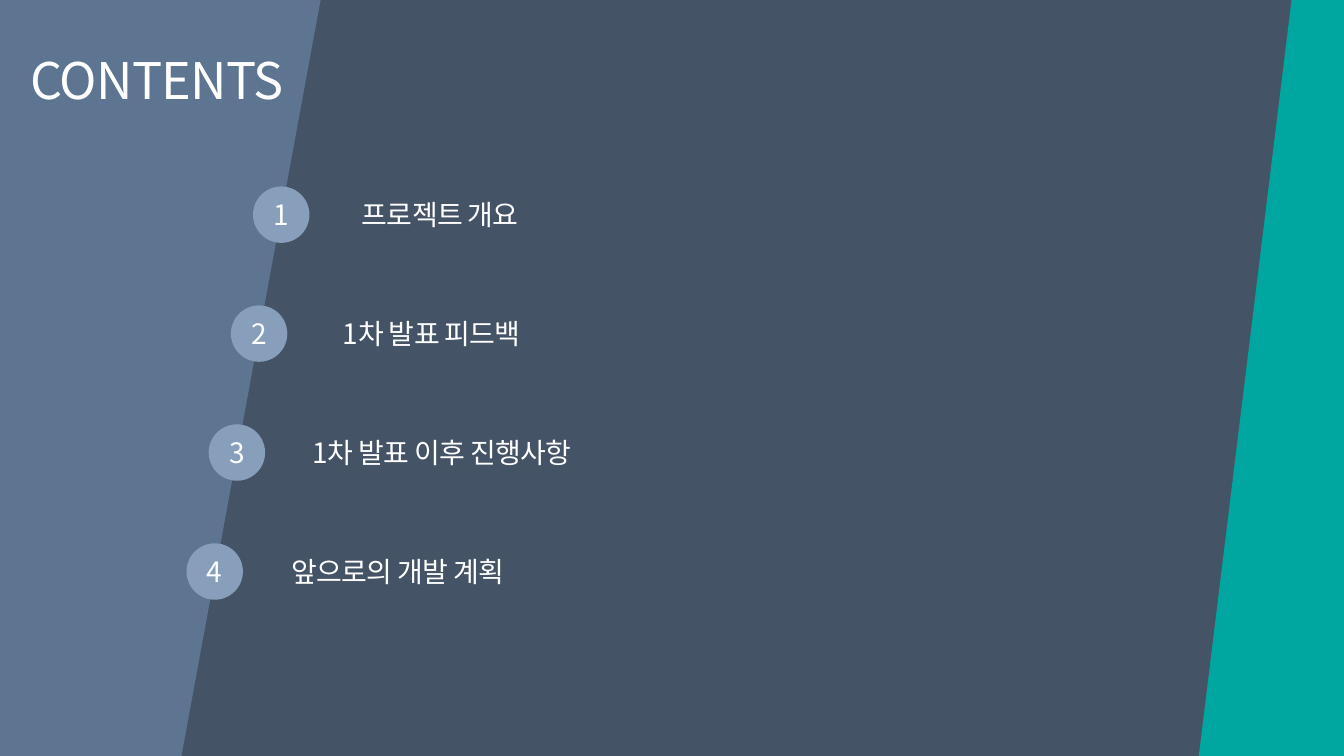
"""Build the contents slide with slanted side panels and four numbered topics."""
from dataclasses import dataclass

from lxml.etree import SubElement
from pptx import Presentation
from pptx.dml.color import RGBColor
from pptx.enum.shapes import MSO_SHAPE
from pptx.enum.text import MSO_ANCHOR, PP_ALIGN
from pptx.oxml.ns import qn
from pptx.slide import Slide
from pptx.text.text import TextFrame
from pptx.util import Inches, Pt

BACKGROUND = RGBColor(0x44, 0x53, 0x65)
STEEL = RGBColor(0x5D, 0x75, 0x91)
TEAL = RGBColor(0x00, 0xA7, 0xA0)
BADGE = RGBColor(0x87, 0x9F, 0xBA)
WHITE = RGBColor(0xFF, 0xFF, 0xFF)
FONT = "Noto Sans CJK KR"

WIDTH, HEIGHT = 13.33, 7.5
BADGE_SIZE = 0.56
FIRST_BADGE_LEFT, FIRST_BADGE_TOP = 2.51, 1.85
BADGE_SHIFT, TOPIC_PITCH = -0.22, 1.18


@dataclass(frozen=True)
class Panel:
    corners: tuple[tuple[float, float], ...]
    color: RGBColor


@dataclass(frozen=True)
class Topic:
    title: str
    left: float


PANELS = (
    Panel(((0, 0), (3.18, 0), (1.8, HEIGHT), (0, HEIGHT)), STEEL),
    Panel(((12.81, 0), (WIDTH, 0), (WIDTH, HEIGHT), (11.89, HEIGHT)), TEAL),
)
TOPICS = (
    Topic("프로젝트 개요", 3.49),
    Topic("1차 발표 피드백", 3.3),
    Topic("1차 발표 이후 진행사항", 3),
    Topic("앞으로의 개발 계획", 2.79),
)


def write(frame: TextFrame, text: str, *, size: float = 20, spacing: float = 0,
          align: PP_ALIGN = PP_ALIGN.LEFT,
          anchor: MSO_ANCHOR = MSO_ANCHOR.TOP) -> None:
    """Put one formatted line of text into a frame."""
    frame.word_wrap = True
    frame.vertical_anchor = anchor
    line = frame.paragraphs[0]
    line.alignment = align
    run = line.add_run()
    run.text = text
    run.font.size = Pt(size)
    run.font.name = FONT
    run.font.color.rgb = WHITE
    properties = run.font._element
    SubElement(properties, qn("a:ea")).set("typeface", FONT)
    if spacing:
        properties.set("spc", str(round(spacing * 100)))


def add_label(slide: Slide, text: str, left: float, top: float, width: float,
              height: float, size: float = 20) -> None:
    """Add a left-aligned line of tightened text."""
    label = slide.shapes.add_textbox(
        Inches(left), Inches(top), Inches(width), Inches(height))
    write(label.text_frame, text, size=size, spacing=-0.5)


def add_panel(slide: Slide, panel: Panel) -> None:
    """Add a slanted colour panel."""
    start, *others = [(Inches(x), Inches(y)) for x, y in panel.corners]
    builder = slide.shapes.build_freeform(*start)
    builder.add_line_segments(others, close=True)
    outline = builder.convert_to_shape()
    outline.shadow.inherit = False
    outline.fill.solid()
    outline.fill.fore_color.rgb = panel.color
    outline.line.fill.background()


def add_topic(slide: Slide, index: int, topic: Topic) -> None:
    """Add a numbered badge on the slanted edge and its topic title."""
    top = FIRST_BADGE_TOP + index * TOPIC_PITCH
    badge = slide.shapes.add_shape(
        MSO_SHAPE.OVAL, Inches(FIRST_BADGE_LEFT + index * BADGE_SHIFT),
        Inches(top), Inches(BADGE_SIZE), Inches(BADGE_SIZE))
    badge.shadow.inherit = False
    badge.fill.solid()
    badge.fill.fore_color.rgb = BADGE
    badge.line.fill.background()
    write(badge.text_frame, str(index + 1), align=PP_ALIGN.CENTER,
          anchor=MSO_ANCHOR.MIDDLE)
    add_label(slide, topic.title, topic.left, top + 0.06, 5.79, 0.44)


def main() -> None:
    """Create and save the presentation."""
    deck = Presentation()
    deck.slide_width, deck.slide_height = Inches(WIDTH), Inches(HEIGHT)
    slide = deck.slides.add_slide(deck.slide_layouts[6])
    slide.background.fill.solid()
    slide.background.fill.fore_color.rgb = BACKGROUND
    for panel in PANELS:
        add_panel(slide, panel)
    add_label(slide, "CONTENTS", 0.2, 0.44, 3.07, 0.71, size=36)
    for index, topic in enumerate(TOPICS):
        add_topic(slide, index, topic)
    deck.save("out.pptx")


if __name__ == "__main__":
    main()
